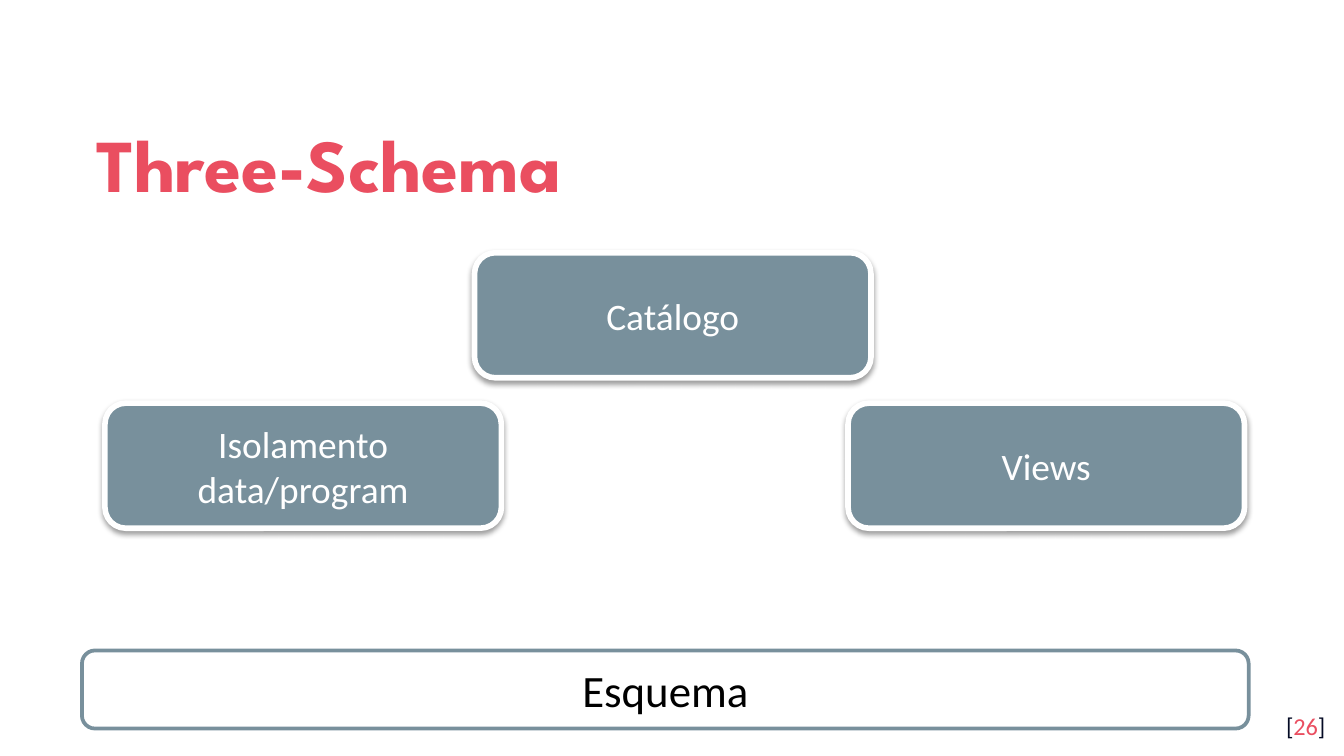
from dataclasses import dataclass

from lxml.etree import SubElement
from pptx import Presentation
from pptx.dml.color import RGBColor
from pptx.enum.shapes import MSO_SHAPE as Kind
from pptx.enum.text import MSO_ANCHOR as Anchor, PP_ALIGN as Align
from pptx.oxml.ns import qn
from pptx.shapes.autoshape import Shape
from pptx.slide import Slide
from pptx.text.text import TextFrame
from pptx.util import Pt

WHITE = RGBColor(0xFF, 0xFF, 0xFF)
BLACK = RGBColor(0x00, 0x00, 0x00)
SLATE = RGBColor(0x78, 0x90, 0x9C)
CORAL = RGBColor(0xEA, 0x4E, 0x60)
NAVY = RGBColor(0x04, 0x0A, 0x24)


@dataclass(frozen=True)
class Box:
    text: str
    left: float
    top: float
    width: float = 212.4
    height: float = 67
    fill: RGBColor = SLATE
    line: RGBColor = WHITE
    weight: float = 3
    ink: RGBColor = WHITE
    size: float = 20
    shade: bool = True


SCHEME = Box("Esquema", 43.9, 348.5, 625, 41.8, WHITE, SLATE, 2, BLACK, 24, False)
CARDS = (
    Box("Isolamento data/program", 56.2, 216),
    Box("Catálogo", 254.2, 135.4),
    Box("Views", 454.3, 216),
)


def write(frame: TextFrame, *parts: tuple[str, RGBColor], size: float,
          font: str = "Calibri", bold: bool = False, align: Align = Align.CENTER,
          anchor: Anchor = Anchor.MIDDLE, pad: float | None = None,
          space: float = 1) -> None:
    frame.word_wrap = True
    frame.vertical_anchor = anchor
    if pad is not None:
        frame.margin_left = frame.margin_right = Pt(pad)
        frame.margin_top = frame.margin_bottom = Pt(pad)
    para = frame.paragraphs[0]
    para.alignment = align
    para.line_spacing = space
    for text, ink in parts:
        run = para.add_run()
        run.text = text
        run.font.name = font
        run.font.size = Pt(size)
        run.font.bold = bold
        run.font.color.rgb = ink


def shade(shape: Shape) -> None:
    effects = shape._element.spPr.find(qn("a:effectLst"))
    outer = SubElement(effects, qn("a:outerShdw"), blurRad=str(Pt(3.1)),
                       dist=str(Pt(1.6)), dir="5400000", rotWithShape="0")
    tint = SubElement(outer, qn("a:srgbClr"), val=str(BLACK))
    SubElement(tint, qn("a:alpha"), val="38000")


def draw(slide: Slide, box: Box) -> None:
    shape = slide.shapes.add_shape(Kind.ROUNDED_RECTANGLE, Pt(box.left), Pt(box.top),
                                   Pt(box.width), Pt(box.height))
    shape.shadow.inherit = False
    shape.fill.solid()
    shape.fill.fore_color.rgb = box.fill
    shape.line.color.rgb = box.line
    shape.line.width = Pt(box.weight)
    if box.shade:
        shade(shape)
    write(shape.text_frame, (box.text, box.ink), size=box.size)


def main() -> None:
    deck = Presentation()
    deck.slide_width, deck.slide_height = Pt(720), Pt(405)
    slide = deck.slides.add_slide(deck.slide_layouts[5])

    title = slide.shapes.title
    title.left, title.top = Pt(44.6), Pt(50.4)
    title.width, title.height = Pt(631.4), Pt(66.2)
    write(title.text_frame, ("Three-Schema", CORAL), size=40, font="League Spartan",
          bold=True, align=Align.LEFT, pad=7.2, space=1.15)

    draw(slide, SCHEME)
    page = slide.shapes.add_textbox(Pt(673.9), Pt(373.7), Pt(43.2), Pt(31))
    write(page.text_frame, ("[", NAVY), ("26", CORAL), ("]", NAVY), size=13,
          align=Align.RIGHT, anchor=Anchor.TOP, pad=7.2)
    for card in CARDS:
        draw(slide, card)

    deck.save("out.pptx")


if __name__ == "__main__":
    main()
